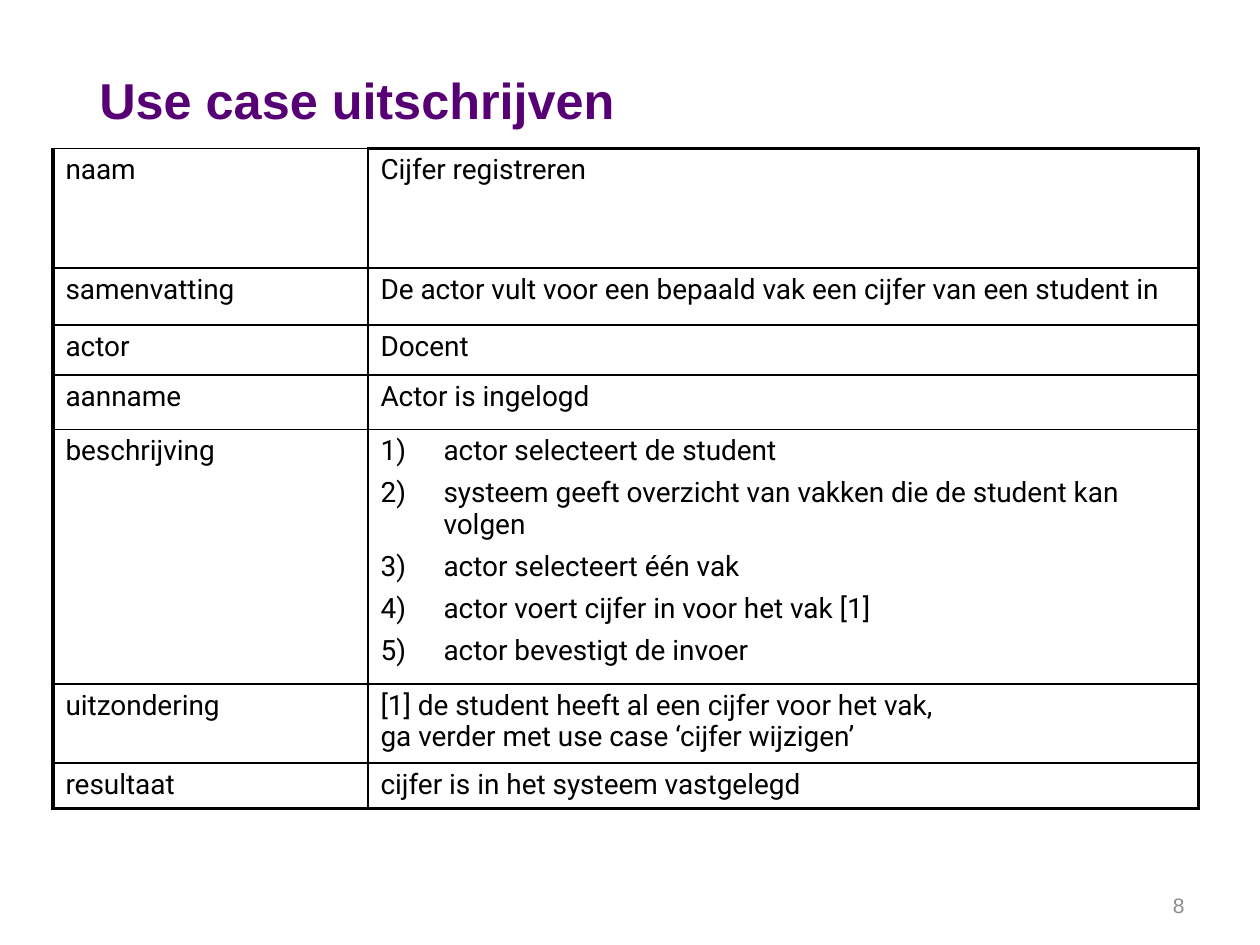
"""Build a slide with a written-out use case in a two-column table."""
from dataclasses import dataclass

from lxml import etree
from pptx import Presentation, util as u
from pptx.dml.color import RGBColor
from pptx.enum import text
from pptx.oxml.ns import qn


@dataclass(frozen=True)
class Theme:
    width: float = 10
    height: float = 7.5
    heading_font: str = "Arial"
    body_font: str = "Roboto"
    title_size: float = 28.8
    body_size: float = 16
    number_size: float = 12
    title: str = "570076"
    ink: str = "000000"
    muted: str = "8C8C8C"
    paper: str = "FFFFFF"
    thin: float = 1
    thick: float = 2.25


@dataclass(frozen=True)
class Label:
    content: str
    box: tuple[float, float, float, float]
    size: float
    color: str
    bold: bool = False
    align: text.PP_ALIGN = text.PP_ALIGN.LEFT


@dataclass(frozen=True)
class Row:
    name: str
    content: str
    height: float
    before: float = 7
    numbered: bool = False


THEME = Theme()
LABELS = (
    Label("Use case uitschrijven", (0.069, 0.044, 0.456, 0.123),
          THEME.title_size, THEME.title, bold=True),
    Label("8", (0.894, 0.931, 0.056, 0.053),
          THEME.number_size, THEME.muted, align=text.PP_ALIGN.RIGHT),
)
TABLE_LEFT, TABLE_TOP = 0.042, 0.157
COLUMNS = (0.25, 0.659)
STEPS = (
    "actor selecteert de student",
    "systeem geeft overzicht van vakken die de student kan volgen",
    "actor selecteert één vak",
    "actor voert cijfer in voor het vak [1]",
    "actor bevestigt de invoer",
)
ROWS = (
    Row("naam", "Cijfer registreren", 0.95, 6),
    Row("samenvatting", "De actor vult voor een bepaald vak een cijfer van een student in", 0.45, 6),
    Row("actor", "Docent", 0.4),
    Row("aanname", "Actor is ingelogd", 0.43),
    Row("beschrijving", "\n".join(STEPS), 2.02, 6, numbered=True),
    Row("uitzondering", "[1] de student heeft al een cijfer voor het vak, \v"
        "ga verder met use case ‘cijfer wijzigen’", 0.63, 6),
    Row("resultaat", "cijfer is in het systeem vastgelegd", 0.36),
)


def across(share: float) -> u.Length:
    """Turn a share of the slide width into a length."""
    return u.Inches(share * THEME.width)


def down(share: float) -> u.Length:
    """Turn a share of the slide height into a length."""
    return u.Inches(share * THEME.height)


def style_run(r, font: str, size: float, color: str, bold: bool = False) -> None:
    """Set the font of a run."""
    r.font.name, r.font.size, r.font.bold = font, u.Pt(size), bold
    r.font.color.rgb = RGBColor.from_string(color)


def add_label(slide, label: Label) -> None:
    """Draw one line of text, centred vertically in its box."""
    x, y, w, h = label.box
    tf = slide.shapes.add_textbox(across(x), down(y), across(w), down(h)).text_frame
    tf.word_wrap = True
    tf.vertical_anchor = text.MSO_ANCHOR.MIDDLE
    tf.text = label.content
    p = tf.paragraphs[0]
    p.alignment = label.align
    style_run(p.runs[0], THEME.heading_font, label.size, label.color, label.bold)


def set_borders(cell, widths: dict[str, float]) -> None:
    """Draw the four sides of a cell."""
    tc_pr = cell._tc.get_or_add_tcPr()
    for side, width in widths.items():
        ln = etree.SubElement(tc_pr, qn(f"a:ln{side}"), w=str(u.Pt(width)))
        fill = etree.SubElement(ln, qn("a:solidFill"))
        etree.SubElement(fill, qn("a:srgbClr"), val=THEME.ink)


def number_paragraph(p) -> None:
    """Give a paragraph a hanging automatic number."""
    p_pr = p._p.get_or_add_pPr()
    p_pr.set("marL", str(u.Inches(0.5)))
    p_pr.set("indent", str(u.Inches(-0.5)))
    etree.SubElement(p_pr, qn("a:buFont"), typeface=THEME.body_font)
    etree.SubElement(p_pr, qn("a:buAutoNum"), type="arabicParenR")


def fill_cell(cell, content: str, before: float, numbered: bool = False) -> None:
    """Write and format the text of a cell."""
    cell.fill.solid()
    cell.fill.fore_color.rgb = RGBColor.from_string(THEME.paper)
    cell.text_frame.text = content
    for p in cell.text_frame.paragraphs:
        p.line_spacing, p.space_before = 0.97, u.Pt(before)
        if numbered:
            number_paragraph(p)
        for r in p.runs:
            style_run(r, THEME.body_font, THEME.body_size, THEME.ink)


def add_use_case(slide, rows: tuple[Row, ...]) -> None:
    """Draw the use case table with a heavy outer frame."""
    height = u.Inches(sum(row.height for row in rows))
    table = slide.shapes.add_table(
        len(rows), len(COLUMNS), across(TABLE_LEFT), down(TABLE_TOP),
        across(sum(COLUMNS)), height).table
    table.first_row = table.horz_banding = False
    for column, share in zip(table.columns, COLUMNS):
        column.width = across(share)
    for i, row in enumerate(rows):
        table.rows[i].height = u.Inches(row.height)
        name, content = table.cell(i, 0), table.cell(i, 1)
        bottom = THEME.thick if i == len(rows) - 1 else THEME.thin
        top = THEME.thick if i == 0 else THEME.thin
        set_borders(name, {"L": THEME.thick, "R": THEME.thin, "T": THEME.thin, "B": bottom})
        set_borders(content, {"L": THEME.thin, "R": THEME.thick, "T": top, "B": bottom})
        fill_cell(name, row.name, 7)
        fill_cell(content, row.content, row.before, row.numbered)


def main() -> None:
    """Build and save the slide."""
    prs = Presentation()
    prs.slide_width, prs.slide_height = across(1), down(1)
    slide = prs.slides.add_slide(prs.slide_layouts[6])
    for label in LABELS:
        add_label(slide, label)
    add_use_case(slide, ROWS)
    prs.save("out.pptx")


if __name__ == "__main__":
    main()
